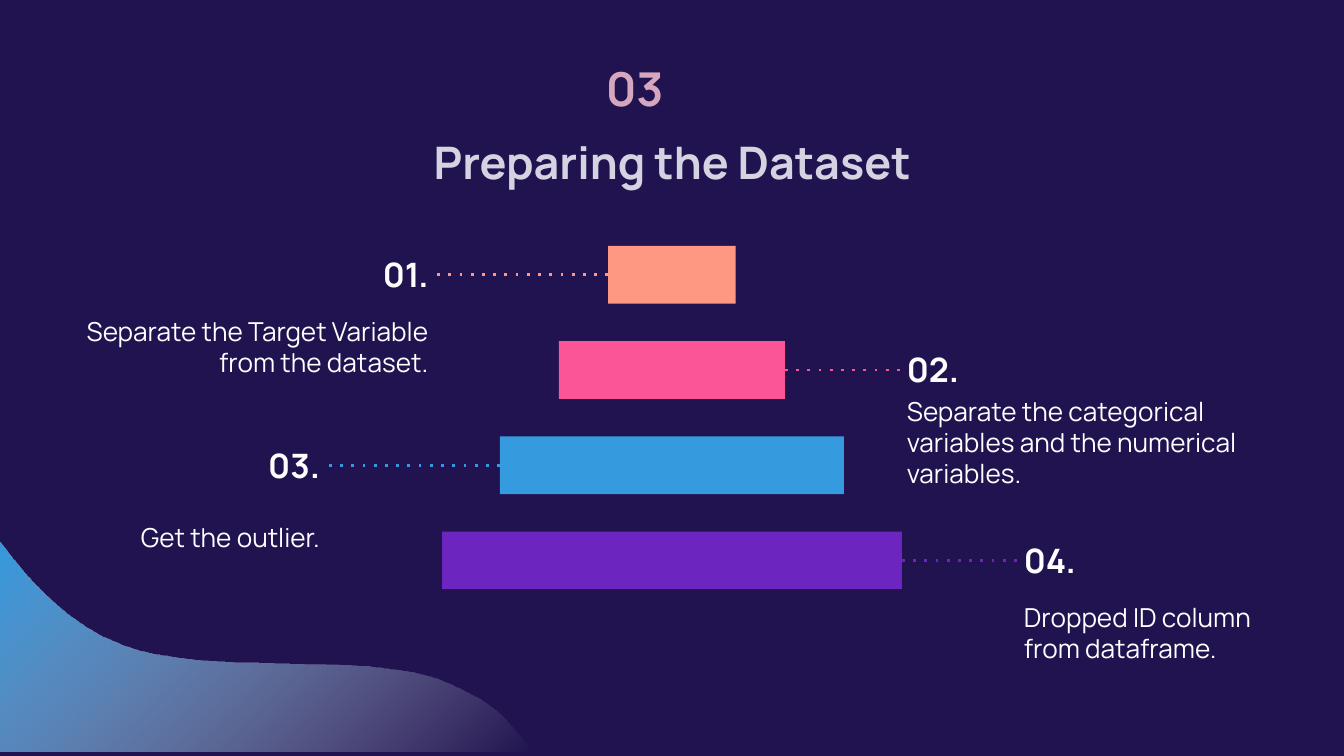
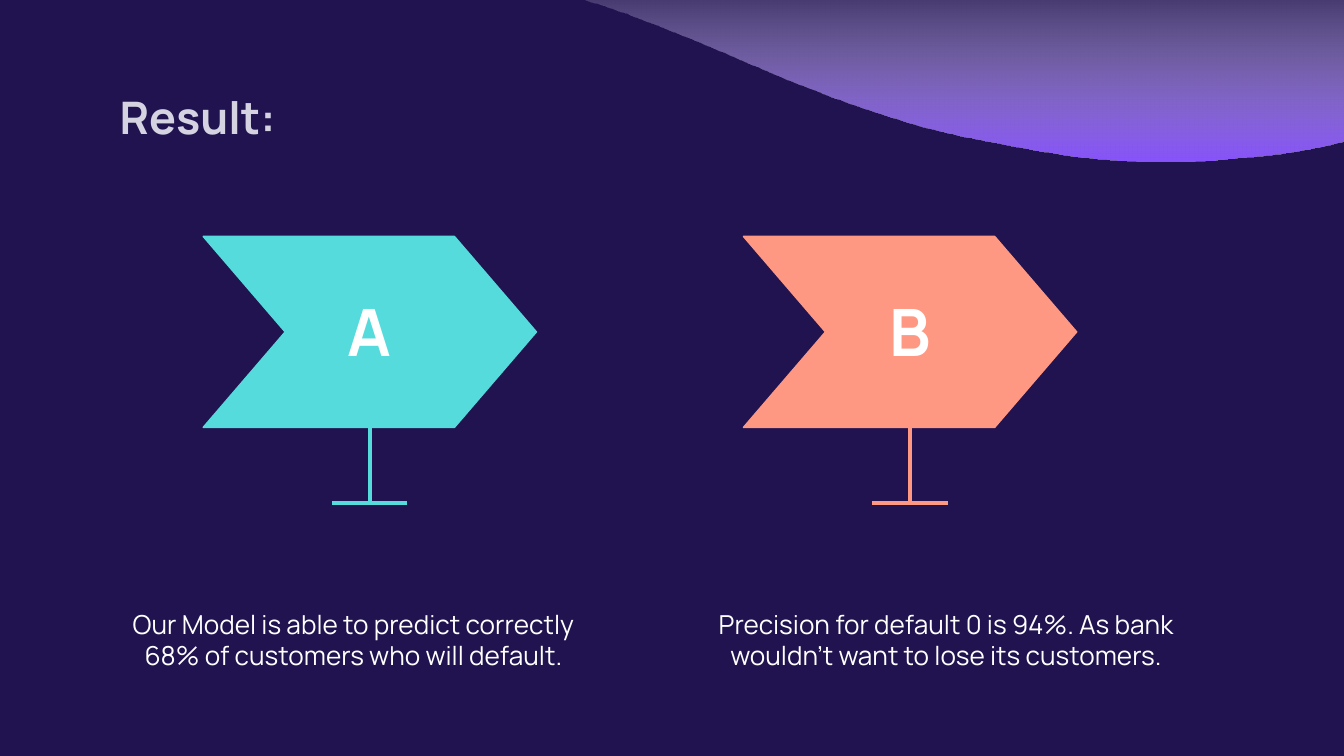
from lxml import etree
from pptx import Presentation
from pptx.dml.color import RGBColor
from pptx.enum.shapes import MSO_CONNECTOR, MSO_SHAPE
from pptx.enum.text import MSO_ANCHOR, MSO_AUTO_SIZE, PP_ALIGN
from pptx.oxml.ns import qn
from pptx.util import Cm, Pt

LEFT, CENTER, RIGHT = PP_ALIGN.LEFT, PP_ALIGN.CENTER, PP_ALIGN.RIGHT
TOP, MIDDLE = MSO_ANCHOR.TOP, MSO_ANCHOR.MIDDLE
RECTANGLE, STRAIGHT = MSO_SHAPE.RECTANGLE, MSO_CONNECTOR.STRAIGHT
NO_FIT = MSO_AUTO_SIZE.NONE
LEFT_SIDE, RIGHT_SIDE = 1, 3
TITLE_ONLY = 5

FONT = "Manrope"
NAVY, WHITE, LAVENDER, ROSE = "20134F", "FFFFFF", "D5D2E2", "D5A6BD"
PURPLE, BLUE, PINK = "6D25BF", "369ADE", "FC5596"
SALMON, TURQUOISE, VIOLET = "FE9883", "56DBDC", "8854FD"
INSET = 0.25


def color(value):
    return RGBColor.from_string(value)


def write(box, text, size=14, ink=WHITE, bold=False, align=LEFT,
          anchor=MIDDLE, insets=(INSET,) * 4):
    frame = box.text_frame
    frame.word_wrap = True
    frame.auto_size = NO_FIT
    frame.vertical_anchor = anchor
    (frame.margin_left, frame.margin_top,
     frame.margin_right, frame.margin_bottom) = map(Cm, insets)
    para = frame.paragraphs[0]
    para.alignment = align
    span = para.add_run()
    span.text = text
    span.font.name = FONT
    span.font.size = Pt(size)
    span.font.bold = bold
    span.font.color.rgb = color(ink)


def smooth_curve(knots, steps=8):
    padded = [knots[0], *knots, knots[-1]]
    points = []
    for a, b, c, d in zip(padded, padded[1:], padded[2:], padded[3:]):
        for step in range(steps):
            t = step / steps
            points.append(tuple(
                q + t * (r - p) / 2
                + t ** 2 * (2 * p - 5 * q + 4 * r - s) / 2
                + t ** 3 * (3 * q - p - 3 * r + s) / 2
                for p, q, r, s in zip(a, b, c, d)))
    return points + [knots[-1]]


class Designer:
    def __init__(self):
        self.deck = Presentation()
        self.deck.slide_width, self.deck.slide_height = Cm(25.4), Cm(14.29)
        background = self.deck.slide_master.background.fill
        background.solid()
        background.fore_color.rgb = color(NAVY)
        self.page = None

    def add_page(self, title, top, align=LEFT):
        self.page = self.deck.slides.add_slide(self.deck.slide_layouts[TITLE_ONLY])
        box = self.page.shapes.title
        box.left, box.top, box.width, box.height = map(Cm, (2.01, top, 21.39, 1.4))
        write(box, title, size=24, ink=LAVENDER, bold=True, align=align)

    def text(self, left, top, width, height, words, **style):
        box = self.page.shapes.add_textbox(*map(Cm, (left, top, width, height)))
        write(box, words, **style)

    def bar(self, left, top, width, height, fill):
        bar = self.page.shapes.add_shape(
            RECTANGLE, *map(Cm, (left, top, width, height)))
        bar.shadow.inherit = False
        bar.fill.solid()
        bar.fill.fore_color.rgb = color(fill)
        bar.line.fill.background()
        return bar

    def line(self, x1, y1, x2, y2, ink, width, dash=None):
        line = self.page.shapes.add_connector(STRAIGHT, *map(Cm, (x1, y1, x2, y2)))
        line.line.color.rgb = color(ink)
        line.line.width = Pt(width)
        properties = line._element.spPr
        if dash:
            etree.SubElement(properties.find(qn("a:ln")), qn("a:prstDash"), val=dash)
        etree.SubElement(properties, qn("a:effectLst"))
        return line

    def outline(self, points):
        points = [(Cm(x), Cm(y)) for x, y in points]
        builder = self.page.shapes.build_freeform(*points[0])
        builder.add_line_segments(points[1:], close=True)
        shape = builder.convert_to_shape()
        shape.shadow.inherit = False
        return shape

    def wave(self, knots, corners, ink, angle):
        wave = self.outline(smooth_curve(knots) + corners)
        wave.line.fill.background()
        wave.fill.gradient()
        wave.fill.gradient_angle = angle
        for stop, value in zip(wave.fill.gradient_stops, (ink, WHITE)):
            stop.color.rgb = color(value)
        faded = wave._element.findall(".//" + qn("a:gs"))[-1]
        etree.SubElement(faded[0], qn("a:alpha"), val="0")

    def step(self, index, width, fill, side, edge, text_width, words):
        top, height = 4.65 + 1.8 * index, 1.09
        middle = top + height / 2
        bar = self.bar(12.7 - width / 2, top, width, height, fill)
        leader = self.line(12.7, middle, edge, middle, fill, 1.5, dash="dot")
        leader.begin_connect(bar, side)
        on_left = side == LEFT_SIDE
        style = dict(align=RIGHT if on_left else LEFT,
                     insets=(0, 0, 0.1, 0) if on_left else (0.1, 0, 0, 0))
        rows = [(f"{index + 1:02}.", top, 4.06, 1.07, 18),
                (words, top + 1.08, text_width, 1.65, 14)]
        for content, row_top, row_width, row_height, size in rows:
            left = edge - row_width if on_left else edge
            self.text(left, row_top, row_width, row_height, content,
                      size=size, bold=size == 18, **style)

    def sign(self, left, letter, fill, caption_left, caption):
        top, width, height, notch = 4.47, 6.3, 3.61, 1.55
        right, bottom, middle = left + width, top + height, top + height / 2
        arrow = self.outline([
            (left, top), (left + notch, middle), (left, bottom),
            (right - notch, bottom), (right, middle), (right - notch, top)])
        arrow.fill.solid()
        arrow.fill.fore_color.rgb = color(fill)
        arrow.line.color.rgb = color(fill)
        arrow.line.width = Pt(0.75)
        post, ground = left + width / 2, 9.5
        self.line(post - 0.71, ground, post + 0.71, ground, fill, 2.25)
        self.line(post, bottom, post, ground, fill, 2.25)
        self.text(post - 0.75, 5.26, 1.5, 2.03, letter, size=35, bold=True,
                  align=CENTER, anchor=TOP)
        self.text(caption_left, 10.85, 9.35, 2.49, caption, align=CENTER)


def build_preparation(designer):
    designer.add_page("Preparing the Dataset", 2.36, align=CENTER)
    steps = [
        (2.41, SALMON, LEFT_SIDE, 8.2, 6.83,
         "Separate the Target Variable from the dataset."),
        (4.27, PINK, RIGHT_SIDE, 17.04, 6.99,
         "Separate the categorical variables and the numerical variables."),
        (6.5, BLUE, LEFT_SIDE, 6.15, 4.06, "Get the outlier."),
        (8.69, PURPLE, RIGHT_SIDE, 19.25, 5.44, "Dropped ID column from dataframe."),
    ]
    for index, details in enumerate(steps):
        designer.step(index, *details)
    knots = [(0, 10.24), (0.76, 11.13), (1.63, 11.84), (2.59, 12.27),
             (3.78, 12.47), (5.03, 12.52), (6.15, 12.55), (7.09, 12.6),
             (8.03, 12.75), (8.84, 13.08), (9.45, 13.49), (10.06, 14.2)]
    designer.wave(knots, [(0, 14.2)], BLUE, 315)
    designer.text(11.2, 0.89, 1.88, 1.65, "03", size=25, ink=ROSE, bold=True, anchor=TOP)


def build_result(designer):
    designer.add_page("Result:", 1.5)
    knots = [(7.42, -0.28), (8.66, -0.41), (9.91, -0.28), (11.15, 0.03),
             (12.29, 0.43), (13.56, 0.94), (14.81, 1.47), (16.23, 2.01),
             (17.65, 2.44), (19.08, 2.74), (20.55, 2.97), (22.02, 3.05),
             (23.5, 2.97), (24.92, 2.77), (26.67, 2.29), (28.35, 1.57)]
    designer.wave(knots, [(28.35, -0.74), (7.42, -0.74)], VIOLET, 90)
    designer.sign(3.84, "A", TURQUOISE, 2.01,
                  "Our Model is able to predict correctly 68% of customers who will default.")
    designer.sign(14.05, "B", SALMON, 13.21,
                  "Precision for default 0 is 94%. As bank wouldn’t want to lose its customers.")


def main():
    designer = Designer()
    build_preparation(designer)
    build_result(designer)
    designer.deck.save("out.pptx")


if __name__ == "__main__":
    main()
